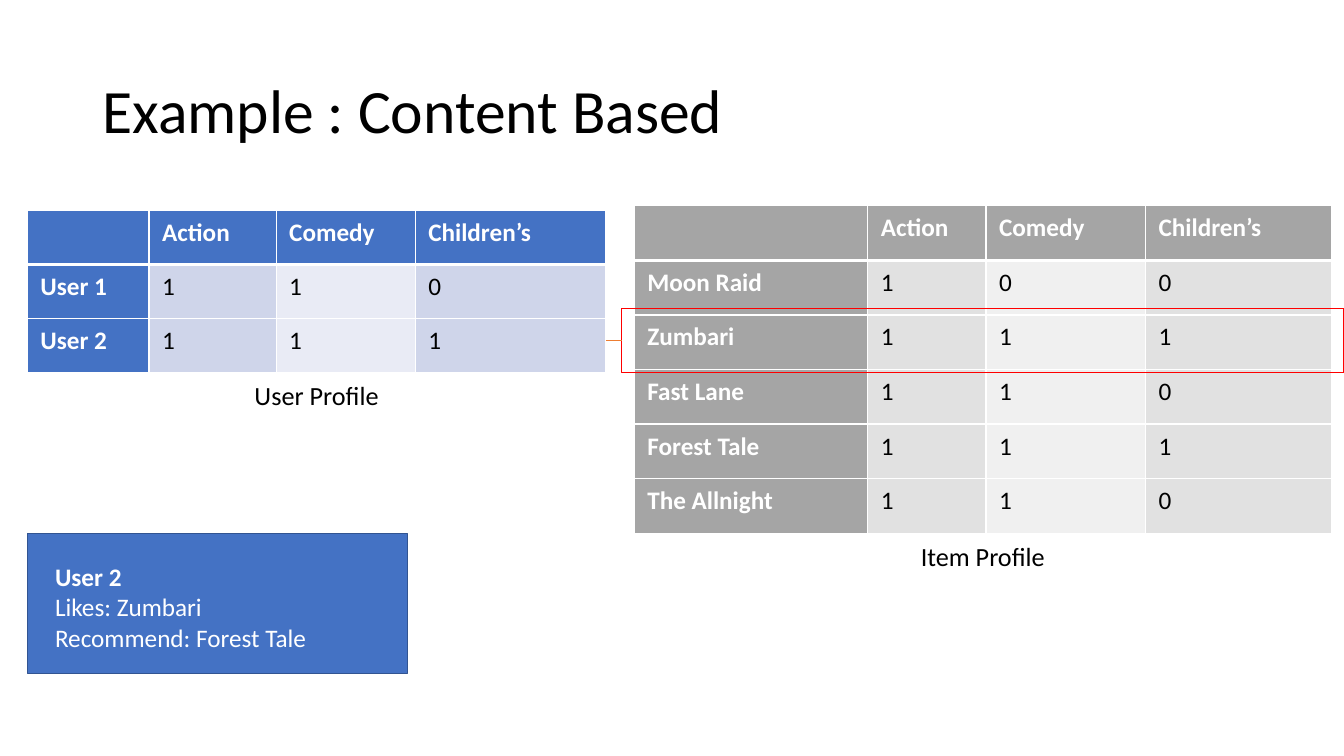
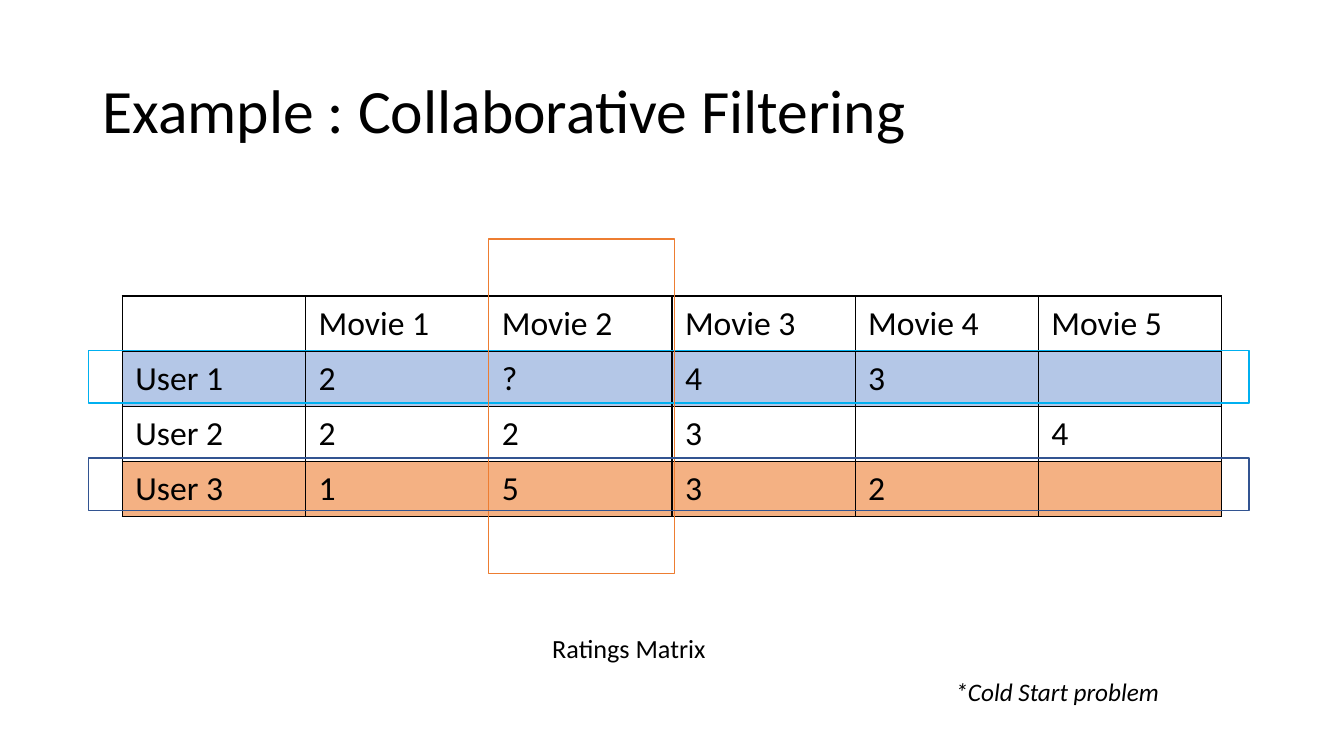
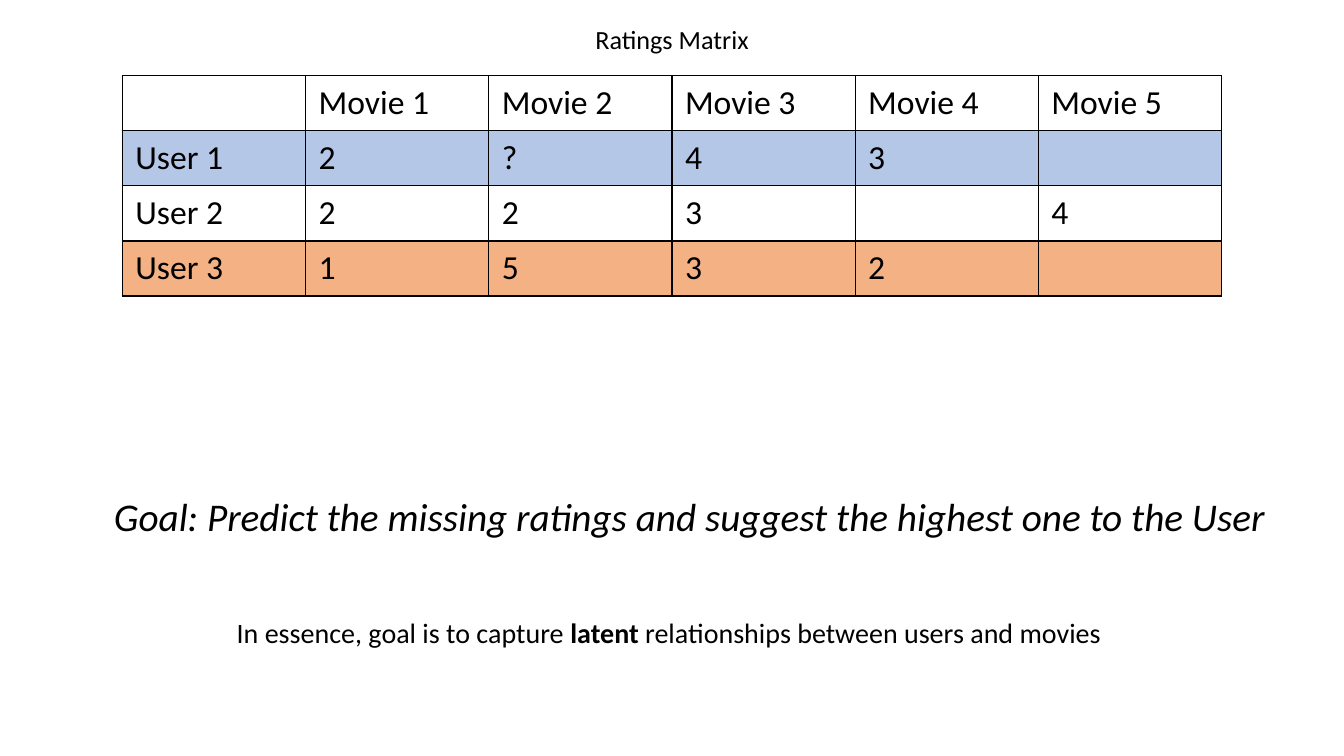
from typing import NamedTuple, Optional, Sequence

from lxml.etree import SubElement
from pptx import Presentation
from pptx.dml.color import RGBColor
from pptx.enum.shapes import MSO_CONNECTOR, MSO_SHAPE
from pptx.enum.text import MSO_ANCHOR as Anchor, PP_ALIGN as Align
from pptx.oxml.ns import qn
from pptx.util import Emu, Inches, Pt

WIDTH, HEIGHT = Inches(13.33), Inches(7.5)
COLUMNS, ROWS = 128, 72

FONT = "Calibri"
BLACK, WHITE, RED = "000000", "FFFFFF", "FF0000"
BLUE, NAVY, SKY, PALE_BLUE = "4472C4", "325491", "00B0F0", "B4C7E7"
ORANGE, PALE_ORANGE = "ED7D31", "F4B183"


class Box(NamedTuple):
    """Left, top, width and height in grid columns and rows."""
    left: float
    top: float
    width: float
    height: float

    def emu(self) -> tuple:
        return across(self.left), down(self.top), across(self.width), down(self.height)


class Run(NamedTuple):
    text: str
    bold: bool = False


class CellStyle(NamedTuple):
    fill: Optional[str] = None
    color: str = BLACK
    bold: bool = False


class Grid(NamedTuple):
    """Table geometry: corner, column widths and one row height, in grid units."""
    left: float
    top: float
    widths: Sequence[float]
    row_height: float
    cells: Sequence[Sequence[str]]

    def box(self) -> Box:
        return Box(self.left, self.top, sum(self.widths), self.row_height * len(self.cells))


class Profile(NamedTuple):
    grid: Grid
    caption: str
    header: str
    bands: Sequence[str]


CAPTION_WIDTH, CAPTION_HEIGHT = 26.7, 4.3
TITLE_BOX = Box(8.8, 3.84, 110.4, 13.92)
GENRES = ("", "Action", "Comedy", "Children’s")
PROFILES = (
    Profile(
        Grid(2.6, 20.05, (11.6, 12.1, 13.25, 18.15), 5.15,
             (GENRES, ("User 1", *"110"), ("User 2", *"111"))),
        "User Profile", BLUE, ("E9EBF5", "CFD5EA")),
    Profile(
        Grid(60.4, 19.6, (22.25, 11.25, 15.2, 17.7), 5.2,
             (GENRES, ("Moon Raid", *"100"), ("Zumbari", *"111"), ("Fast Lane", *"110"),
              ("Forest Tale", *"111"), ("The Allnight", *"110"))),
        "Item Profile", "A5A5A5", ("F0F0F0", "E1E1E1")),
)
RATINGS = (
    ("", *(f"Movie {number}" for number in range(1, 6))),
    ("User 1", "2", "?", "4", "3", ""),
    ("User 2", "2", "2", "3", "", "4"),
    ("User 3", "1", "5", "3", "2", ""),
)
RATING_FILLS = (None, PALE_BLUE, None, PALE_ORANGE)
RATING_COLUMN = 17.45


def across(columns: float) -> Emu:
    return Emu(round(WIDTH * columns / COLUMNS))


def down(rows: float) -> Emu:
    return Emu(round(HEIGHT * rows / ROWS))


def rgb(value: str) -> RGBColor:
    return RGBColor.from_string(value)


def write(frame, paragraphs, *, size: float = 18, color: str = BLACK, bold: bool = False,
          italic: bool = False, align=Align.LEFT, spacing: float = 1.0) -> None:
    """Fill a text frame; each paragraph is a string or a sequence of runs."""
    for index, content in enumerate(paragraphs):
        paragraph = frame.paragraphs[0] if index == 0 else frame.add_paragraph()
        paragraph.alignment, paragraph.line_spacing = align, spacing
        pieces = [Run(content)] if isinstance(content, str) else content
        for piece in pieces:
            run = paragraph.add_run()
            run.text = piece.text
            font = run.font
            font.name, font.size, font.color.rgb = FONT, Pt(size), rgb(color)
            font.bold, font.italic = bold or piece.bold, italic


def add_text(slide, box: Box, *paragraphs, wrap: bool = False, anchor=Anchor.TOP,
             inset: float = 0.1, **text_format) -> None:
    frame = slide.shapes.add_textbox(*box.emu()).text_frame
    frame.word_wrap, frame.vertical_anchor = wrap, anchor
    frame.margin_left = frame.margin_right = Inches(inset)
    frame.margin_top = frame.margin_bottom = Inches(inset / 2)
    write(frame, paragraphs, **text_format)


def add_title(slide, text: str) -> None:
    add_text(slide, TITLE_BOX, text, wrap=True, anchor=Anchor.MIDDLE, size=44, spacing=0.9)


def add_caption(slide, text: str, center: float, top: float) -> None:
    box = Box(center - CAPTION_WIDTH / 2, top, CAPTION_WIDTH, CAPTION_HEIGHT)
    add_text(slide, box, text, wrap=True, anchor=Anchor.MIDDLE, inset=0.14,
             size=18.7, align=Align.CENTER)


def add_rectangle(slide, box: Box, line: str, fill: Optional[str] = None):
    shape = slide.shapes.add_shape(MSO_SHAPE.RECTANGLE, *box.emu())
    shape.shadow.inherit = False
    shape.line.color.rgb, shape.line.width = rgb(line), Pt(1)
    if fill:
        shape.fill.solid()
        shape.fill.fore_color.rgb = rgb(fill)
    else:
        shape.fill.background()
    return shape


def add_border(cell, side: str, color: str, width: float) -> None:
    properties = cell._tc.get_or_add_tcPr()
    line = SubElement(properties, qn(f"a:ln{side}"), w=str(Pt(width)))
    SubElement(SubElement(line, qn("a:solidFill")), qn("a:srgbClr"), val=color)


def add_grid(slide, grid: Grid, style_of, border: str, size: float = 18,
             header_rule: float = 1) -> None:
    """Draw a table; style_of(row, column) gives the style of each cell."""
    frame = slide.shapes.add_table(len(grid.cells), len(grid.widths), *grid.box().emu())
    table = frame.table
    table.first_row = table.horz_banding = False
    for column, width in zip(table.columns, grid.widths):
        column.width = across(width)
    for row_index, texts in enumerate(grid.cells):
        table.rows[row_index].height = down(grid.row_height)
        for column_index, text in enumerate(texts):
            cell = table.cell(row_index, column_index)
            style = style_of(row_index, column_index)
            cell.margin_left = cell.margin_right = Inches(0.13)
            cell.margin_top = cell.margin_bottom = Inches(0.07)
            rules = {"L": 1, "R": 1, "T": header_rule if row_index == 1 else 1,
                     "B": header_rule if row_index == 0 else 1}
            for side, width in rules.items():
                add_border(cell, side, border, width)
            if style.fill:
                cell.fill.solid()
                cell.fill.fore_color.rgb = rgb(style.fill)
            else:
                cell.fill.background()
            if text:
                write(cell.text_frame, [text], size=size, color=style.color, bold=style.bold)


def add_profile(slide, profile: Profile) -> None:
    def style_of(row: int, column: int) -> CellStyle:
        if row == 0 or column == 0:
            return CellStyle(profile.header, WHITE, True)
        return CellStyle(profile.bands[column % 2])

    box = profile.grid.box()
    add_grid(slide, profile.grid, style_of, WHITE, header_rule=3)
    add_caption(slide, profile.caption, box.left + box.width / 2, box.top + box.height)


def add_ratings(slide, top: float) -> None:
    widths = [RATING_COLUMN] * len(RATINGS[0])
    grid = Grid((COLUMNS - sum(widths)) / 2, top, widths, 5.25, RATINGS)
    add_grid(slide, grid, lambda row, column: CellStyle(RATING_FILLS[row]), BLACK, size=24)


def build_content_based(slide) -> None:
    add_rectangle(slide, Box(2.6, 50.8, 36.2, 13.35), NAVY, BLUE)
    add_title(slide, "Example : Content Based")
    for profile in PROFILES:
        add_profile(slide, profile)
    add_text(slide, Box(4.3, 53, 27.4, 9.7), [Run("User 2", True)], "Likes: Zumbari",
             "Recommend: Forest Tale", color=WHITE)

    match = Box(59.2, 29.4, 68.8, 6.1)
    match_frame = add_rectangle(slide, match, RED)
    users = PROFILES[0].grid.box()
    middle = down(match.top + match.height / 2)
    link = slide.shapes.add_connector(MSO_CONNECTOR.STRAIGHT, across(users.left + users.width),
                                      middle, across(match.left), middle)
    link.end_connect(match_frame, 1)
    link.line.color.rgb, link.line.width = rgb(ORANGE), Pt(0.5)
    SubElement(link._element.spPr, qn("a:effectLst"))


def build_collaborative(slide) -> None:
    add_title(slide, "Example : Collaborative Filtering")
    add_ratings(slide, 28.2)
    add_rectangle(slide, Box(8.45, 33.4, 110.5, 5), SKY)
    add_rectangle(slide, Box(46.55, 22.75, 17.7, 31.9), ORANGE)
    add_caption(slide, "Ratings Matrix", 59.9, 59.6)
    add_rectangle(slide, Box(8.45, 43.6, 110.5, 5), NAVY)
    add_text(slide, Box(90.05, 63.95, 21.7, 3.85), "*Cold Start problem", italic=True)


def build_goal(slide) -> None:
    add_ratings(slide, 7.2)
    add_caption(slide, "Ratings Matrix", COLUMNS / 2, 1.55)
    add_text(slide, Box(9.9, 46.4, 112.9, 5.45),
             "Goal: Predict the missing ratings and suggest the highest one to the User",
             size=28, italic=True)
    add_text(slide, Box(21.6, 58.1, 84.9, 4.2),
             [Run("In essence, goal is to capture "), Run("latent", True),
              Run(" relationships between users and movies")], size=20)


def main() -> None:
    presentation = Presentation()
    presentation.slide_width, presentation.slide_height = WIDTH, HEIGHT
    blank = presentation.slide_layouts[6]
    for build in (build_content_based, build_collaborative, build_goal):
        build(presentation.slides.add_slide(blank))
    presentation.save("out.pptx")


if __name__ == "__main__":
    main()
